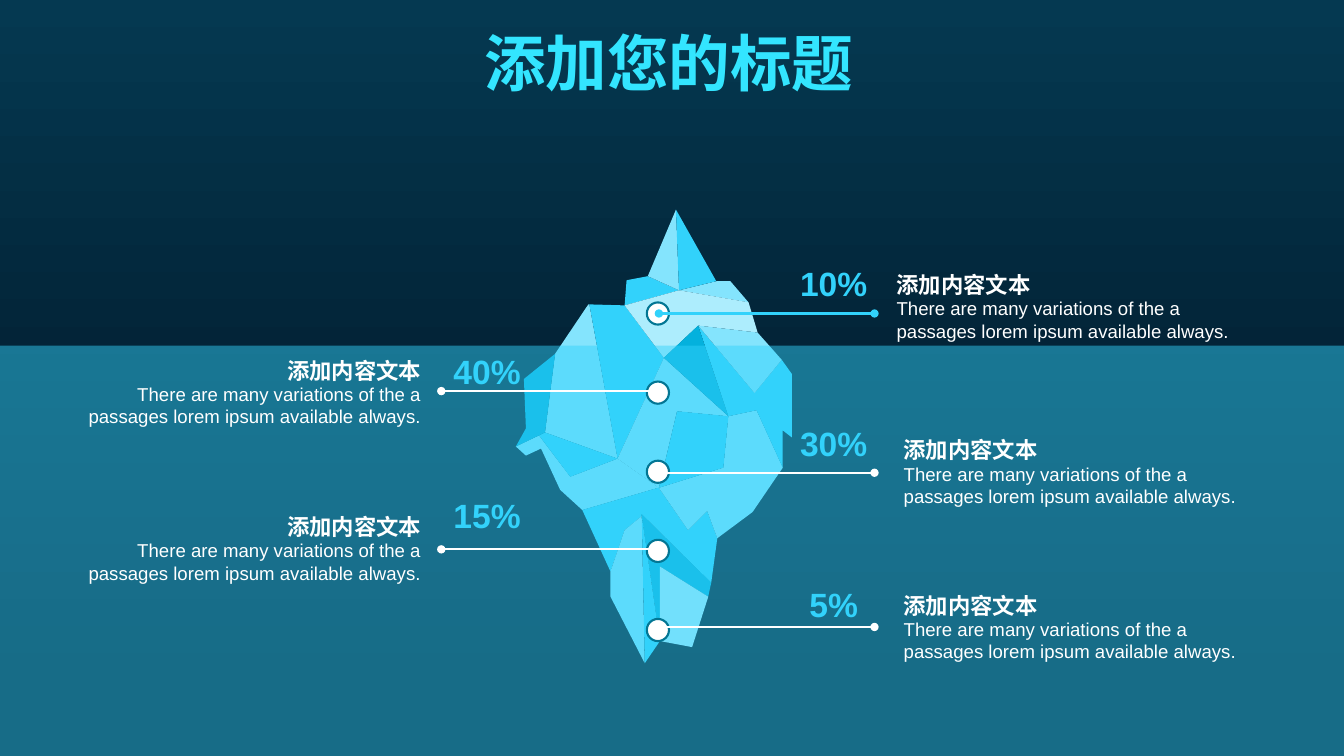
import pptx
import pptx.dml.color
import pptx.enum.shapes
import pptx.enum.text
import pptx.oxml
import pptx.oxml.ns
import pptx.util

RGBColor = pptx.dml.color.RGBColor
SKY = RGBColor(0x05, 0x39, 0x51)
NIGHT = RGBColor(0x00, 0x0F, 0x1E)
WHITE = RGBColor(0xFF, 0xFF, 0xFF)
TITLE_CYAN = RGBColor(0x33, 0xE5, 0xFF)
RING = RGBColor(0x03, 0x76, 0x94)
ICE = RGBColor(0x32, 0xD2, 0xFB)
LIGHT = RGBColor(0x84, 0xE4, 0xFD)
PALE = RGBColor(0xAD, 0xED, 0xFD)
DEEP = RGBColor(0x04, 0xB1, 0xDD)

COLUMNS, ROWS = 1334, 750
CELL = pptx.util.Inches(0.01)
ALIGN = pptx.enum.text.PP_ALIGN
ANCHOR = pptx.enum.text.MSO_ANCHOR
SHAPE = pptx.enum.shapes.MSO_SHAPE

FACETS = [
    (LIGHT, [(674, 288), (711, 279), (725, 279), (743, 300)]),
    (ICE, [(674, 288), (620, 303), (622, 278), (643, 274)]),
    (LIGHT, [(541, 429), (551, 351), (584, 302), (585, 302), (613, 455)]),
    (ICE, [(620, 303), (659, 355), (613, 455), (585, 302)]),
    (DEEP, [(703, 592), (655, 562), (655, 636), (637, 512), (636, 509), (706, 578)]),
    (LIGHT, [(512, 443), (535, 432), (566, 473), (613, 455), (654, 484), (653, 484),
             (578, 506), (556, 486), (537, 445), (522, 452)]),
    (LIGHT, [(671, 208), (674, 288), (643, 274)]),
    (PALE, [(693, 323), (659, 355), (620, 303), (674, 288), (743, 300), (752, 330)]),
    (ICE, [(711, 279), (674, 288), (671, 208)]),
    (ICE, [(535, 432), (541, 429), (613, 455), (566, 473)]),
    (ICE, [(578, 506), (653, 484), (654, 484), (683, 526), (702, 507), (712, 534),
           (706, 578), (636, 509), (637, 512), (620, 526), (606, 567)]),
    (LIGHT, [(654, 484), (718, 464), (723, 413), (751, 407), (777, 464), (747, 508),
             (712, 534), (702, 507), (683, 526)]),
    (LIGHT, [(654, 484), (613, 455), (659, 355), (723, 413), (672, 408)]),
    (ICE, [(723, 413), (718, 464), (654, 484), (672, 408)]),
    (ICE, [(777, 464), (751, 407), (723, 413), (693, 323), (749, 390), (776, 357),
           (786, 371), (786, 434), (777, 427)]),
    (LIGHT, [(693, 323), (752, 330), (776, 357), (749, 390)]),
    (DEEP, [(659, 355), (693, 323), (723, 413)]),
    (LIGHT, [(637, 512), (640, 658), (606, 592), (606, 567), (620, 526)]),
    (PALE, [(655, 636), (655, 562), (703, 592), (687, 642)]),
    (ICE, [(640, 658), (637, 512), (655, 636)]),
    (DEEP, [(551, 351), (541, 429), (535, 432), (512, 443), (522, 425), (520, 376)]),
]

HEADING = "添加内容文本"
BODY = "There are many variations of the a passages lorem ipsum available always."
# percent, percent row, line row, heading row, text column, line colour
CALLOUTS = [
    ("10%", 261, 311, 269, 890, ICE),
    ("40%", 348, 388, 354, 85, WHITE),
    ("30%", 420, 469, 433, 897, WHITE),
    ("15%", 491, 545, 509, 85, WHITE),
    ("5%", 579, 622, 587, 897, WHITE),
]


class IcebergSlide:
    """Draws styled elements on one slide, measured in grid columns and rows."""

    def __init__(self, presentation, font_name):
        self.slide = presentation.slides.add_slide(presentation.slide_layouts[5])
        self.font_name = font_name

    def background(self, top, bottom, bottom_position):
        fill = self.slide.background.fill
        fill.gradient()
        fill.gradient_angle = 270
        for stop, color, position in zip(fill.gradient_stops, (top, bottom), (0, bottom_position)):
            stop.color.rgb = color
            stop.position = position

    def style_text(self, shape, text, size, color, bold, align, anchor, wrap, inset):
        frame = shape.text_frame
        frame.text = text
        frame_format = {"word_wrap": wrap, "vertical_anchor": anchor,
                        "auto_size": pptx.enum.text.MSO_AUTO_SIZE.NONE}
        for side in ("left", "right", "top", "bottom"):
            frame_format["margin_" + side] = inset[side in ("top", "bottom")] * CELL
        paragraph = frame.paragraphs[0]
        paragraph.alignment = align
        font_format = {"name": self.font_name, "size": pptx.util.Pt(size), "bold": bold}
        for target, values in ((frame, frame_format), (paragraph.font, font_format)):
            for name, value in values.items():
                setattr(target, name, value)
        paragraph.font.color.rgb = color

    def title(self, text, box):
        shape = self.slide.shapes.title
        for name, cells in zip(("left", "top", "width", "height"), box):
            setattr(shape, name, cells * CELL)
        self.style_text(shape, text, 44, TITLE_CYAN, True, ALIGN.CENTER, ANCHOR.TOP, True, (10, 5))

    def text(self, text, box, size, color, bold=False, align=ALIGN.LEFT, anchor=ANCHOR.MIDDLE, wrap=False):
        shape = self.slide.shapes.add_textbox(*(cells * CELL for cells in box))
        self.style_text(shape, text, size, color, bold, align, anchor, wrap, (0, 0))

    def facets(self, facets):
        group = self.slide.shapes.add_group_shape()
        for color, points in facets:
            builder = group.shapes.build_freeform(*points[0], scale=CELL)
            builder.add_line_segments(points[1:], close=True)
            self.paint(builder.convert_to_shape(), color)

    def paint(self, shape, color, outline=None):
        shape.shadow.inherit = False
        shape.fill.solid()
        shape.fill.fore_color.rgb = color
        if outline is None:
            shape.line.fill.background()
        else:
            shape.line.color.rgb = outline
            shape.line.width = pptx.util.Pt(1.5)

    def shape(self, kind, box, color, outline=None, opacity=None):
        shape = self.slide.shapes.add_shape(kind, *(int(cells * CELL) for cells in box))
        self.paint(shape, color, outline)
        if opacity is not None:
            fill_color = shape.element.spPr.find(".//" + pptx.oxml.ns.qn("a:srgbClr"))
            alpha = fill_color.makeelement(pptx.oxml.ns.qn("a:alpha"), {"val": str(opacity * 1000)})
            fill_color.append(alpha)

    def dotted_line(self, start, end, row, color):
        line = self.slide.shapes.add_connector(
            pptx.enum.shapes.MSO_CONNECTOR.STRAIGHT, start * CELL, row * CELL, end * CELL, row * CELL)
        line.line.color.rgb = color
        line.line.width = pptx.util.Pt(1.5)
        properties = line.element.spPr
        outline = properties.find(pptx.oxml.ns.qn("a:ln"))
        for tag in ("a:headEnd", "a:tailEnd"):
            outline.append(outline.makeelement(pptx.oxml.ns.qn(tag), {"type": "oval"}))
        properties.append(properties.makeelement(pptx.oxml.ns.qn("a:effectLst"), {}))

    def callout(self, percent, percent_row, line_row, heading_row, column, color):
        on_left = column < COLUMNS / 2
        align = ALIGN.RIGHT if on_left else ALIGN.LEFT
        start, end, percent_column = (652, 438, 450) if on_left else (868, 654, 794)
        heading_column = column + 197 if on_left else column
        self.dotted_line(start, end, line_row, color)
        self.text(BODY, (column, heading_row + 26, 333, 45), 13.3, WHITE,
                  align=align, anchor=ANCHOR.TOP, wrap=True)
        self.text(HEADING, (heading_column, heading_row, 136, 27), 16, WHITE, True, align)
        self.text(percent, (percent_column, percent_row, 67, 40), 24, ICE, True, ALIGN.CENTER)


def main():
    presentation = pptx.Presentation()
    presentation.slide_width = COLUMNS * CELL
    presentation.slide_height = ROWS * CELL
    iceberg = IcebergSlide(presentation, "Arial")
    iceberg.background(SKY, NIGHT, 0.9)
    iceberg.title("添加您的标题", (278, 20, 772, 84))
    iceberg.facets(FACETS)
    iceberg.shape(SHAPE.RECTANGLE, (0, 343, COLUMNS, ROWS - 343), ICE, opacity=48)
    for index in range(len(CALLOUTS)):
        iceberg.shape(SHAPE.OVAL, (642, 300 + 78.5 * index, 22, 22), WHITE, RING)
    for callout in CALLOUTS:
        iceberg.callout(*callout)
    presentation.save("out.pptx")


if __name__ == "__main__":
    main()
